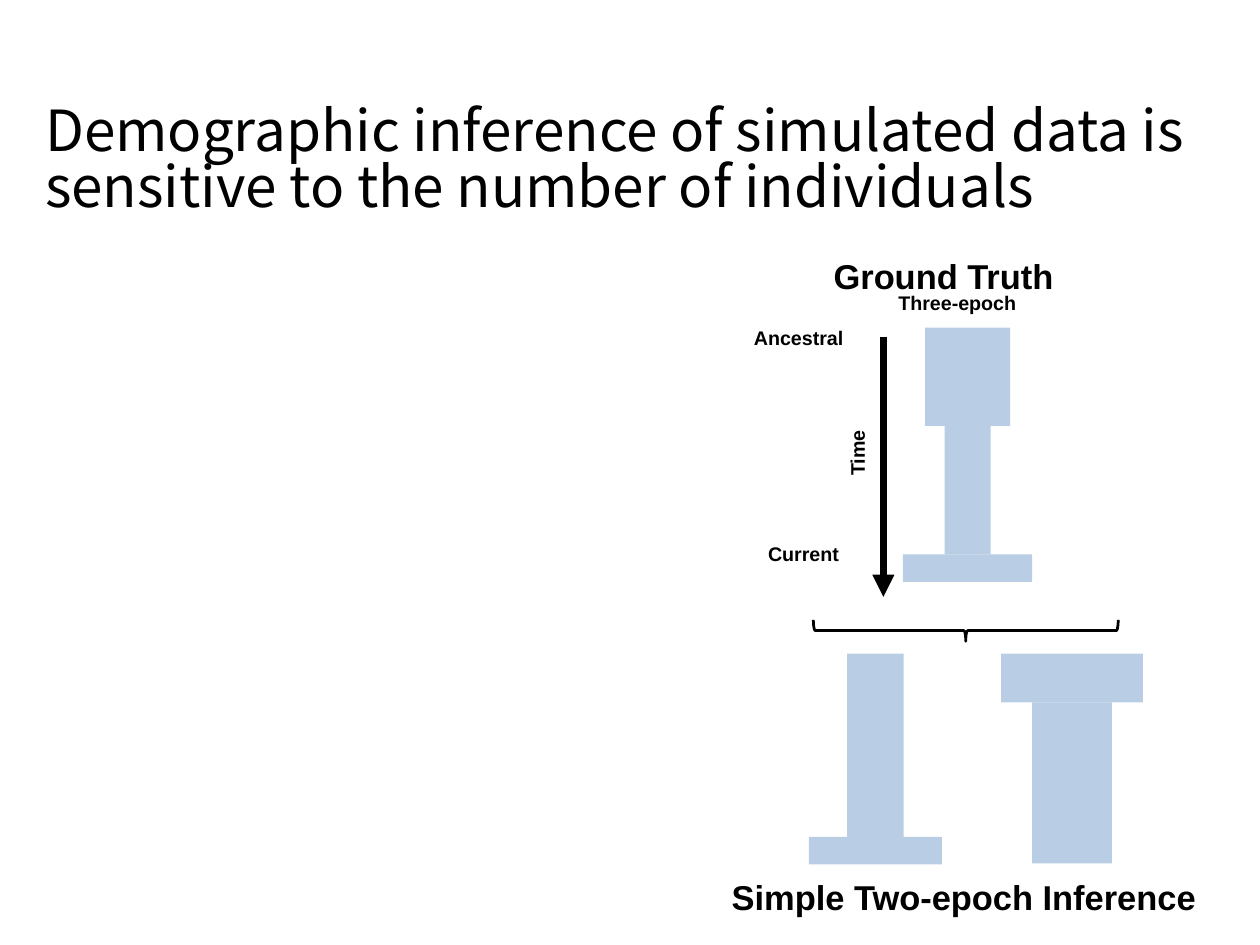
from pptx import Presentation
from pptx.dml.color import RGBColor
from pptx.enum.shapes import MSO_CONNECTOR, MSO_SHAPE as SHAPE
from pptx.enum.text import MSO_ANCHOR, MSO_AUTO_SIZE, PP_ALIGN
from pptx.oxml.ns import qn
from pptx.util import Inches, Pt
from lxml import etree

BLACK = RGBColor(0x00, 0x00, 0x00)
PALE_BLUE = RGBColor(0xB9, 0xCD, 0xE5)
TITLE_FONT, LABEL_FONT = "Noto Sans CJK JP", "Arial"


def place(sp, left, top, width, height):
    sp.left, sp.top = Inches(left), Inches(top)
    sp.width, sp.height = Inches(width), Inches(height)


def style(p, font, size, bold):
    for r in p.runs:
        r.font.name, r.font.size, r.font.bold = font, Pt(size), bold
        r.font.color.rgb = BLACK


def add_label(s, text, left, top, width, height=0.37, size=16, rotation=0):
    sp = s.shapes.add_textbox(*map(Inches, (left, top, width, height)))
    sp.rotation = rotation
    tf = sp.text_frame
    tf.word_wrap = True
    tf.text = text
    style(tf.paragraphs[0], LABEL_FONT, size, True)


def add_epochs(s, center, top, epochs):
    """Stack population-size bars, given as (width, height), oldest first."""
    for width, height in epochs:
        box = (center - width / 2, top, width, height)
        sp = s.shapes.add_shape(SHAPE.RECTANGLE, *map(Inches, box))
        sp.shadow.inherit = False
        sp.fill.solid()
        sp.fill.fore_color.rgb = PALE_BLUE
        sp.line.fill.background()
        top += height


def add_title(s, left, top, width, height):
    title = s.shapes.title
    place(title, left, top, width, height)
    tf = title.text_frame
    tf.text = "Demographic inference of simulated data is sensitive to the number of individuals"
    tf.word_wrap = True
    tf.auto_size = MSO_AUTO_SIZE.NONE
    tf.vertical_anchor = MSO_ANCHOR.MIDDLE
    tf.margin_left = tf.margin_right = tf.margin_top = tf.margin_bottom = 0
    p = tf.paragraphs[0]
    p.alignment = PP_ALIGN.LEFT
    p.line_spacing = 0.83
    style(p, TITLE_FONT, 46, False)
    # East Asian typeface follows the Latin one
    etree.SubElement(p.runs[0].font._element, qn("a:ea")).set("typeface", TITLE_FONT)


def add_time_arrow(s, x, top, bottom):
    line = s.shapes.add_connector(
        MSO_CONNECTOR.STRAIGHT, Inches(x), Inches(top), Inches(x), Inches(bottom))
    line.line.color.rgb = BLACK
    line.line.width = Pt(6)
    etree.SubElement(line.line._get_or_add_ln(), qn("a:tailEnd")).set("type", "triangle")
    etree.SubElement(line._element.spPr, qn("a:effectLst"))


def add_ground_truth(s, left, top):
    # Headings
    add_label(s, "Three-epoch", left + 1.63, top + 0.41, 1.82)
    add_label(s, "Ground Truth", left + 0.9, top, 2.7, 0.57, 28)
    # Population sizes through time
    add_epochs(s, left + 2.51, top + 0.87, [(0.96, 1.11), (0.52, 1.45), (1.46, 0.31)])
    # Time axis
    add_time_arrow(s, left + 1.56, top + 0.97, top + 3.91)
    add_label(s, "Time", left + 0.68, top + 1.87, 1.17, rotation=270)
    add_label(s, "Ancestral", left, top + 0.8, 1.72)
    add_label(s, "Current", left + 0.16, top + 3.24, 1.23)


def add_brace(s, center_x, center_y, span, depth):
    box = (center_x - depth / 2, center_y - span / 2, depth, span)
    sp = s.shapes.add_shape(SHAPE.LEFT_BRACE, *map(Inches, box))
    sp.rotation = 270
    sp.shadow.inherit = False
    sp.fill.background()
    sp.line.color.rgb = BLACK
    sp.line.width = Pt(2.25)


def add_inference(s, left, top):
    add_brace(s, left + 2.74, top, 3.44, 0.24)
    # Expansion on the left, contraction on the right
    add_epochs(s, left + 1.72, top + 0.26, [(0.64, 2.07), (1.5, 0.31)])
    add_epochs(s, left + 3.94, top + 0.26, [(1.6, 0.55), (0.9, 1.82)])
    add_label(s, "Simple Two-epoch Inference", left, top + 2.72, 5.58, 0.57, 28)


def main():
    prs = Presentation()
    prs.slide_width, prs.slide_height = Inches(14.22), Inches(10.67)
    s = prs.slides.add_slide(prs.slide_layouts[5])
    add_title(s, 0.51, 1.06, 13.21, 1.55)
    add_ground_truth(s, 8.41, 2.83)
    add_inference(s, 8.16, 7.12)
    prs.save("out.pptx")


if __name__ == "__main__":
    main()
